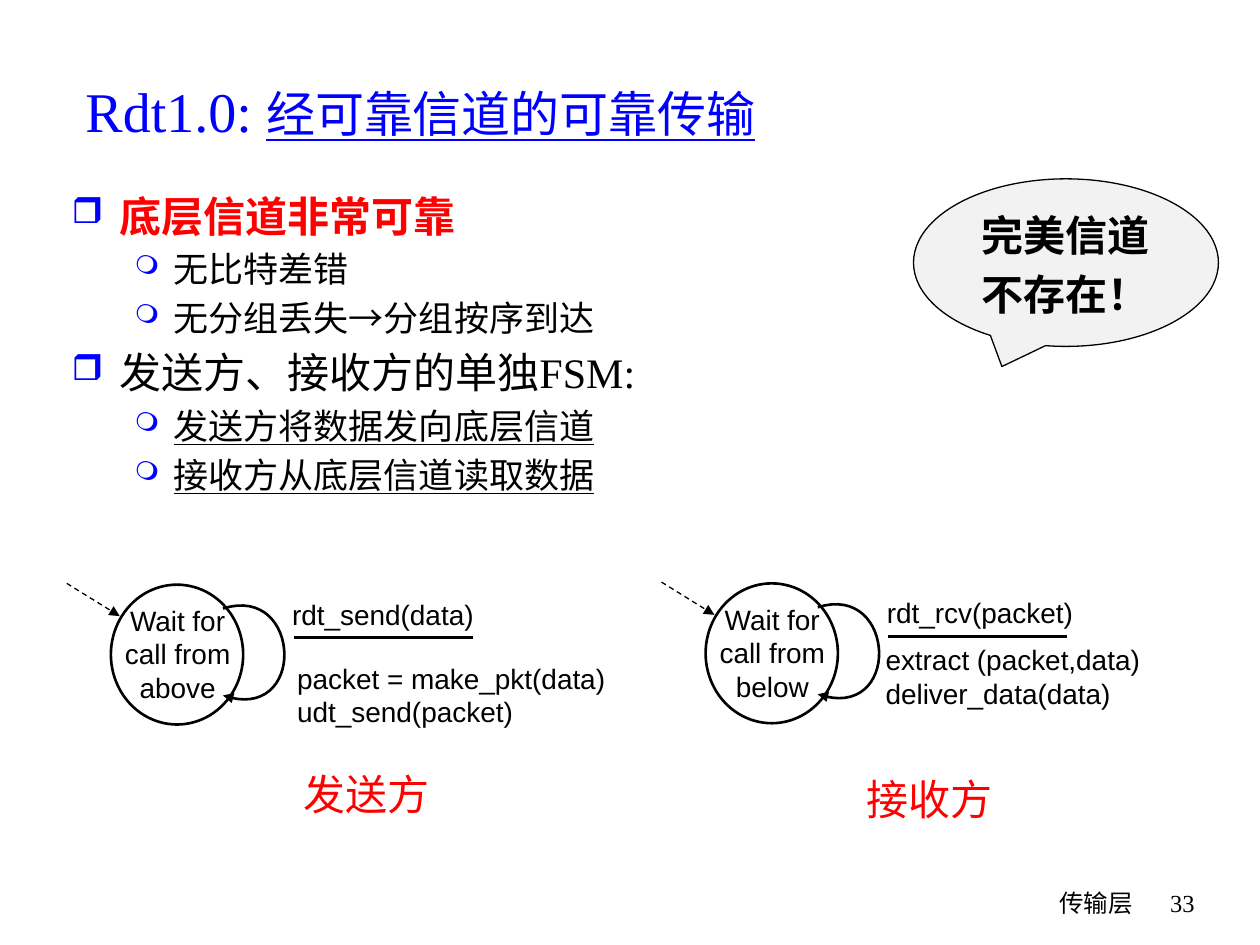
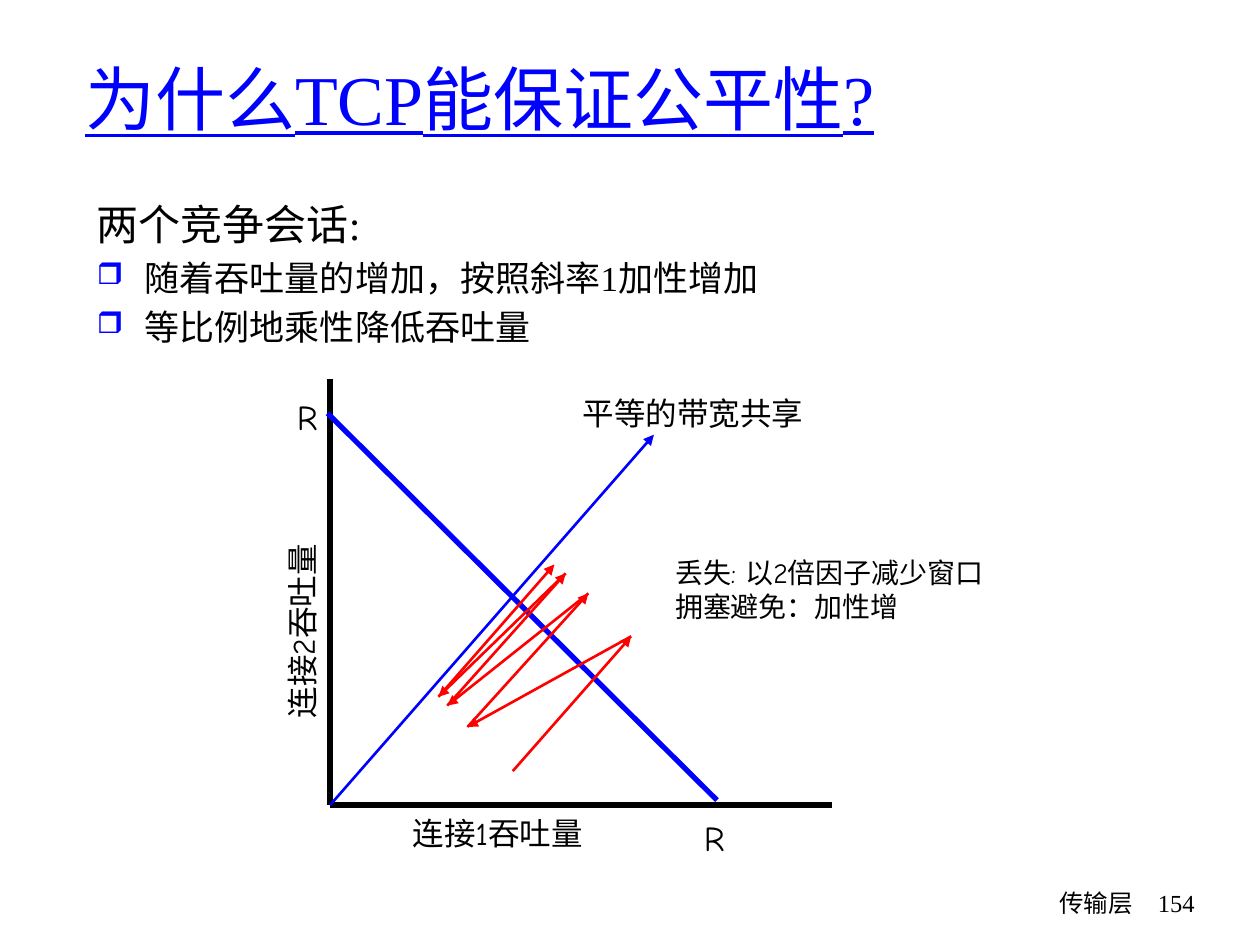
from itertools import pairwise

from lxml import etree
from pptx import Presentation
from pptx.dml.color import RGBColor
from pptx.enum.dml import MSO_LINE
from pptx.enum.shapes import MSO_CONNECTOR, MSO_SHAPE
from pptx.enum.text import MSO_ANCHOR, PP_ALIGN
from pptx.oxml.ns import qn
from pptx.util import Inches, Pt

STRAIGHT = MSO_CONNECTOR.STRAIGHT
ELLIPSE = MSO_SHAPE.OVAL
CALLOUT = MSO_SHAPE.OVAL_CALLOUT
DASH = MSO_LINE.DASH
LEFT, CENTER, RIGHT = PP_ALIGN.LEFT, PP_ALIGN.CENTER, PP_ALIGN.RIGHT
TOP, MIDDLE = MSO_ANCHOR.TOP, MSO_ANCHOR.MIDDLE

WIDTH, HEIGHT = Inches(10), Inches(7.5)
COLUMNS, ROWS = 100, 75
COLORS = {
    "title": "0000FF",
    "bullet": "0000FF",
    "text": "000000",
    "accent": "FF0000",
    "paper": "FFFFFF",
    "callout": "F2F2F2",
}
SERIF, SANS, COMIC = "Times New Roman", "Arial", "Comic Neue"
BULLETS = {"square": ("❒", 85, 0.38, 0.38), "circle": ("❍", 75, 0.81, 0.31)}


def col(n):
    return round(WIDTH * n / COLUMNS)


def row(n):
    return round(HEIGHT * n / ROWS)


def cells(left, top, width, height):
    return col(left), row(top), col(width), row(height)


def rgb(name):
    return RGBColor.from_string(COLORS[name])


def add_run(p, text, size, font=SERIF, color="text", bold=False, underline=False):
    r = p.add_run()
    r.text = text
    r.font.size = Pt(size)
    r.font.name = font
    r.font.color.rgb = rgb(color)
    r.font.bold = bold
    r.font.underline = underline


def add_bullet(p, kind):
    char, percent, margin, hang = BULLETS[kind]
    pPr = p._p.get_or_add_pPr()
    pPr.set("marL", str(Inches(margin)))
    pPr.set("indent", str(-Inches(hang)))
    clr = etree.SubElement(pPr, qn("a:buClr"))
    etree.SubElement(clr, qn("a:srgbClr"), val=COLORS["bullet"])
    etree.SubElement(pPr, qn("a:buSzPct"), val=str(percent * 1000))
    etree.SubElement(pPr, qn("a:buChar"), char=char)


def paragraphs(tf, count):
    return [tf.paragraphs[0]] + [tf.add_paragraph() for _ in range(count - 1)]


def add_box(slide, box, anchor=TOP):
    sp = slide.shapes.add_textbox(*cells(*box))
    sp.text_frame.word_wrap = True
    sp.text_frame.vertical_anchor = anchor
    return sp


def add_label(slide, box, lines, size, align=LEFT, **style):
    sp = add_box(slide, box)
    for p, line in zip(paragraphs(sp.text_frame, len(lines)), lines):
        p.alignment = align
        add_run(p, line, size, **style)
    return sp


def add_title(slide, box, runs):
    p = add_box(slide, box, MIDDLE).text_frame.paragraphs[0]
    for text, size, underline in runs:
        add_run(p, text, size, color="title", underline=underline)


def add_body(slide, box, items):
    tf = add_box(slide, box).text_frame
    for i, (p, item) in enumerate(zip(paragraphs(tf, len(items)), items)):
        bullet, text, size, style = item
        if i:
            p.space_before = Pt(size * 0.2)
        if bullet:
            add_bullet(p, bullet)
        add_run(p, text, size, **style)


def add_footer(slide, number):
    add_label(slide, (59.2, 70, 31.7, 5), ["传输层"], 14, RIGHT, font=COMIC)
    add_label(slide, (90.8, 70, 5, 5), [str(number)], 14, RIGHT)


def style_line(line, color, width, arrow=False, dash=None):
    line.color.rgb = rgb(color)
    line.width = Pt(width)
    if dash:
        line.dash_style = dash
    if arrow:
        ln = line._get_or_add_ln()
        etree.SubElement(ln, qn("a:tailEnd"), type="triangle")


def add_line(slide, start, end, color, width, **style):
    cx = slide.shapes.add_connector(
        STRAIGHT, col(start[0]), row(start[1]), col(end[0]), row(end[1]))
    style_line(cx.line, color, width, **style)
    etree.SubElement(cx._element.spPr, qn("a:effectLst"))


def add_shape(slide, kind, box, fill, width):
    sp = slide.shapes.add_shape(kind, *cells(*box))
    sp.shadow.inherit = False
    sp.fill.solid()
    sp.fill.fore_color.rgb = rgb(fill)
    style_line(sp.line, "text", width)
    return sp


def bezier(points, steps=32):
    for i in range(steps + 1):
        t = i / steps
        weights = ((1 - t) ** 3, 3 * t * (1 - t) ** 2, 3 * t * t * (1 - t), t ** 3)
        x, y = (sum(w * v for w, v in zip(weights, axis)) for axis in zip(*points))
        yield col(x), row(y)


def add_curve(slide, points):
    start, *rest = bezier(points)
    builder = slide.shapes.build_freeform(*start)
    builder.add_line_segments(rest, close=False)
    sp = builder.convert_to_shape()
    sp.shadow.inherit = False
    sp.fill.background()
    style_line(sp.line, "text", 1.5, arrow=True)


def add_callout(slide, box, lines):
    sp = add_shape(slide, CALLOUT, box, "callout", 0.75)
    sp.adjustments[0], sp.adjustments[1] = -0.21, 0.62
    tf = sp.text_frame
    tf.vertical_anchor = TOP
    for i, (p, line) in enumerate(zip(paragraphs(tf, len(lines)), lines)):
        p.alignment = CENTER
        if i:
            p.space_before = Pt(4.8)
        add_run(p, line, 24, font=COMIC, bold=True)


def add_state_machine(slide, x, y, state, event, actions, actions_at, name, name_at):
    def at(dx, dy):
        return x + dx, y + dy

    add_shape(slide, ELLIPSE, (x, y, 10.5, 11.1), "paper", 1.5)
    add_label(slide, (*at(-0.7, 1), 12, 10), [state], 16, CENTER, font=SANS)
    add_curve(slide, [at(8.9, 1.9), at(15.2, -0.1), at(15.6, 11.1), at(8.9, 8.8)])
    add_label(slide, (*at(13.4, 0.5), 24.7, 4.7), [event], 16, font=SANS)
    add_line(slide, at(14.5, 4.2), at(28.7, 4.2), "text", 1.5)
    add_label(slide, (*at(*actions_at), 29.3, 6.5), actions, 16, font=SANS)
    add_line(slide, at(-3.5, -0.1), at(0.7, 2.5), "text", 0.75, arrow=True, dash=DASH)
    add_label(slide, (*at(*name_at), 12, 5), [name], 24, CENTER,
              font=COMIC, color="accent")


def build_reliable_channel(slide):
    add_title(slide, (5.8, 2.5, 87.5, 12.5),
              [("Rdt1.0: ", 32, False), ("经可靠信道的可靠传输", 28, True)])
    add_body(slide, (4.7, 14.6, 86.4, 33), [
        ("square", "底层信道非常可靠", 24, {"color": "accent", "bold": True}),
        ("circle", "无比特差错", 20, {}),
        ("circle", "无分组丢失→分组按序到达", 20, {}),
        ("square", "发送方、接收方的单独FSM:", 24, {}),
        ("circle", "发送方将数据发向底层信道", 20, {"underline": True}),
        ("circle", "接收方从底层信道读取数据", 20, {"underline": True}),
    ])
    add_state_machine(slide, 8.8, 46.4, "Wait for call from above", "rdt_send(data)",
                      ["packet = make_pkt(data)", "udt_send(packet)"], (13.8, 5.6),
                      "发送方", (14.3, 14.1))
    add_state_machine(slide, 56, 46.3, "Wait for call from below", "rdt_rcv(packet)",
                      ["extract (packet,data)", "deliver_data(data)"], (13.3, 4.2),
                      "接收方", (11.8, 14.6))
    add_callout(slide, (72.5, 14.2, 24.2, 13.3), ["完美信道", "不存在！"])
    add_footer(slide, 33)


def build_fairness(slide):
    add_title(slide, (5.8, 2.5, 85, 10.4), [("为什么TCP能保证公平性?", 40, True)])
    add_body(slide, (6.7, 15.3, 90.8, 50.8), [
        (None, "两个竞争会话:", 24, {}),
        ("square", "随着吞吐量的增加，按照斜率1加性增加", 20, {}),
        ("square", "等比例地乘性降低吞吐量", 20, {}),
    ])

    origin = (26.2, 63.9)
    add_line(slide, origin, (66, 63.9), "text", 3)
    add_line(slide, origin, (26.2, 30.1), "text", 3)
    add_line(slide, origin, (51.9, 34.5), "title", 1.5, arrow=True)
    add_line(slide, (26, 32.8), (56.9, 63.5), "title", 3)
    for x, y in ((22.2, 30.9), (54.5, 64.3)):
        add_label(slide, (x, y, 4.4, 4.3), ["R"], 20, CENTER, font=COMIC)
    for x, y, text, angle in ((35.6, 30.8, "平等的带宽共享", 0),
                              (20.1, 64.1, "连接1吞吐量", 0),
                              (4.6, 48.1, "连接2吞吐量", 270)):
        sp = add_label(slide, (x, y, 38.8, 4), [text], 18, CENTER, font=COMIC)
        sp.rotation = angle
    add_label(slide, (52.6, 43.6, 26.9, 6.4),
              ["丢失: 以2倍因子减少窗口", "拥塞避免：加性增"], 16, font=COMIC)

    window_path = [(40.7, 61.2), (50.1, 50.5), (37.1, 57.7), (46.7, 47.1),
                   (35.5, 56), (44.9, 45.5), (34.8, 55.3), (44, 44.8)]
    for start, end in pairwise(window_path):
        add_line(slide, start, end, "accent", 1.5, arrow=True)
    add_footer(slide, 154)


def main():
    prs = Presentation()
    prs.slide_width, prs.slide_height = WIDTH, HEIGHT
    for build in (build_reliable_channel, build_fairness):
        build(prs.slides.add_slide(prs.slide_layouts[6]))
    prs.save("out.pptx")


if __name__ == "__main__":
    main()
